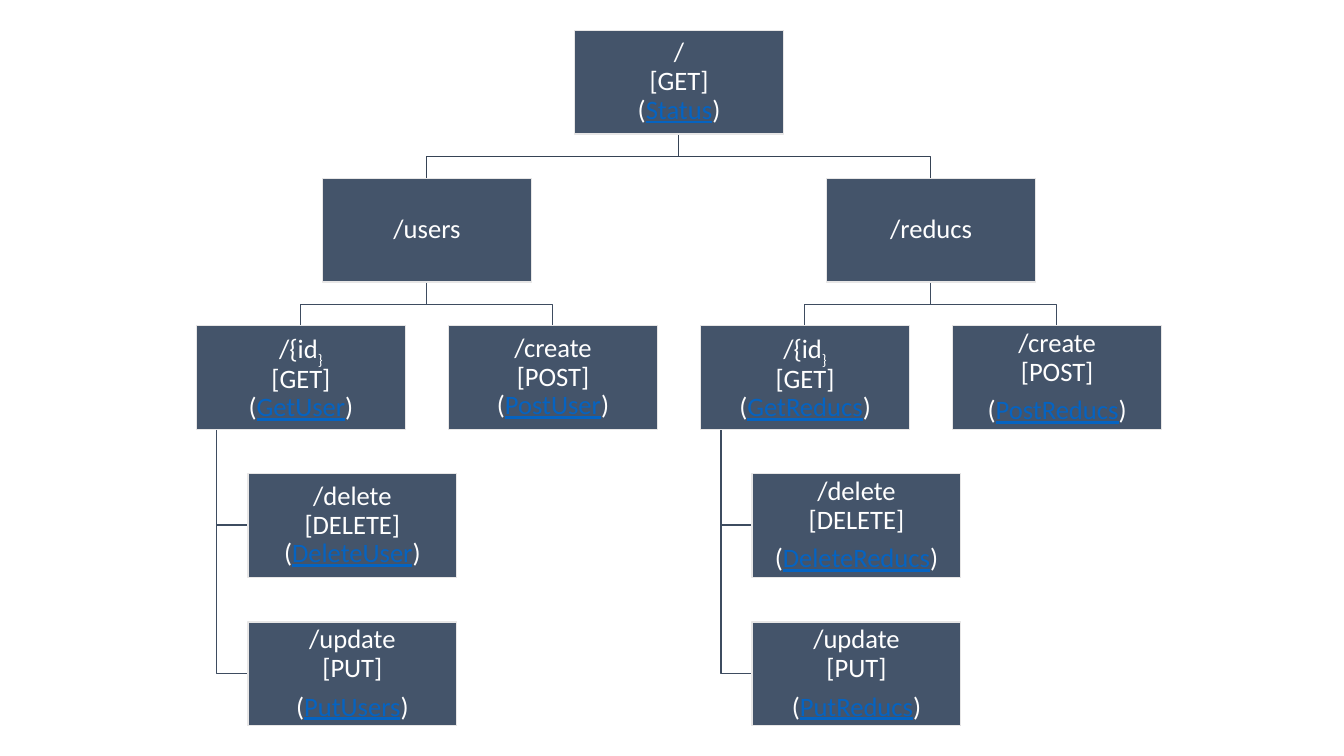
from dataclasses import dataclass
from typing import Any, Iterator

from pptx import Presentation
from pptx.dml.color import RGBColor
from pptx.enum.shapes import MSO_SHAPE
from pptx.enum.text import MSO_ANCHOR, PP_ALIGN
from pptx.util import Pt

RECT = MSO_SHAPE.RECTANGLE
CENTER = PP_ALIGN.CENTER
MIDDLE = MSO_ANCHOR.MIDDLE
PX = 9144  # EMU per px, 100 px to the inch

WIDE, HIGH = 207, 103
TOP, PITCH = 30, 146.7
GAP = 22     # from a box down to the fork bar
TRUNK = 20   # from a box edge to the hanging line
INDENT = 51  # from a box edge to its hanging boxes
INSET = 1


@dataclass(frozen=True)
class Theme:
    font: str = "Calibri"
    size: int = 19
    after: int = 7
    lead: float = 0.9
    line: int = 1
    box: RGBColor = RGBColor(0x44, 0x54, 0x6A)
    edge: RGBColor = RGBColor(0xE7, 0xE6, 0xE6)
    text: RGBColor = RGBColor(0xFF, 0xFF, 0xFF)
    link: RGBColor = RGBColor(0x05, 0x63, 0xC1)
    upper: RGBColor = RGBColor(0x36, 0x43, 0x55)
    lower: RGBColor = RGBColor(0x3E, 0x4C, 0x60)


THEME = Theme()


@dataclass(frozen=True)
class Route:
    """One box; split puts its call in a paragraph of its own."""
    left: int
    row: int
    name: str
    verb: str = ""
    call: str = ""
    split: bool = False
    kids: tuple["Route", ...] = ()

    @property
    def top(self) -> int:
        return round(TOP + PITCH * self.row)

    @property
    def mid(self) -> int:
        return self.left + WIDE // 2


def branch(left: int, name: str, calls: tuple[str, ...], splits: tuple[bool, ...]) -> Route:
    """Resource with an id route, its two hanging routes and a create route."""
    get, post, delete, put = calls
    first, hang = left - 125, left - 125 + INDENT
    return Route(left, 1, name, kids=(
        Route(first, 2, "/{id}", "[GET]", get, kids=(
            Route(hang, 3, "/delete", "[DELETE]", delete, splits[1]),
            Route(hang, 4, "/update", "[PUT]", put, splits[2]),
        )),
        Route(left + 125, 2, "/create", "[POST]", post, splits[0]),
    ))


ROOT = Route(570, 0, "/", "[GET]", "Status", kids=(
    branch(320, "/users", ("GetUser", "PostUser", "DeleteUser", "PutUsers"),
           (False, False, True)),
    branch(820, "/reducs", ("GetReducs", "PostReducs", "DeleteReducs", "PutReducs"),
           (True, True, True)),
))


def walk(route: Route) -> Iterator[Route]:
    yield route
    for kid in route.kids:
        yield from walk(kid)


def style(item: Any, values: dict[str, Any]) -> None:
    for name, value in values.items():
        setattr(item, name, value)


def add_run(para: Any, text: str, link: bool = False, sub: bool = False) -> None:
    run = para.add_run()
    run.text = text
    style(run.font, {"name": THEME.font, "size": Pt(THEME.size), "underline": link})
    run.font.color.rgb = THEME.link if link else THEME.text
    if sub:
        run._r.get_or_add_rPr().set("baseline", "-25000")


def format_para(para: Any) -> None:
    style(para, {"alignment": CENTER, "line_spacing": THEME.lead,
                 "space_after": Pt(THEME.after)})


def draw_link(shapes: Any, parent: Route, kid: Route) -> None:
    base = parent.top + HIGH
    if kid.row > 2:
        x, y = parent.left + TRUNK, kid.top + HIGH // 2
        points = [(x, base), (x, y), (kid.left, y)]
    else:
        bar = base + GAP
        points = [(parent.mid, base), (parent.mid, bar), (kid.mid, bar), (kid.mid, kid.top)]
    pen = shapes.build_freeform(*points[0], scale=PX)
    pen.add_line_segments(points[1:], close=False)
    elbow = pen.convert_to_shape()
    elbow.shadow.inherit = False
    elbow.fill.background()
    elbow.line.color.rgb = THEME.lower if parent.row else THEME.upper
    elbow.line.width = Pt(THEME.line)


def draw_box(shapes: Any, route: Route) -> None:
    box = shapes.add_shape(RECT, *(n * PX for n in (route.left, route.top, WIDE, HIGH)))
    box.shadow.inherit = False
    box.fill.solid()
    box.fill.fore_color.rgb = THEME.box
    box.line.color.rgb = THEME.edge
    box.line.width = Pt(THEME.line)
    frame = box.text_frame
    style(frame, {"word_wrap": True, "vertical_anchor": MIDDLE})
    style(frame, {f"margin_{side}": INSET * PX for side in ("left", "top", "right", "bottom")})

    para = frame.paragraphs[0]
    format_para(para)
    stem, brace, _ = route.name.partition("}")
    add_run(para, stem)
    if brace:
        add_run(para, brace, sub=True)
    if not route.verb:
        return
    para.add_line_break()
    add_run(para, route.verb)
    if route.split:
        para = frame.add_paragraph()
        format_para(para)
    else:
        para.add_line_break()
    add_run(para, "(")
    add_run(para, route.call, link=True)
    add_run(para, ")")


def main() -> None:
    deck = Presentation()
    style(deck, {"slide_width": 1333 * PX, "slide_height": 750 * PX})
    shapes = deck.slides.add_slide(deck.slide_layouts[6]).shapes
    for route in walk(ROOT):
        for kid in route.kids:
            draw_link(shapes, route, kid)
    for route in walk(ROOT):
        draw_box(shapes, route)
    deck.save("out.pptx")


if __name__ == "__main__":
    main()
